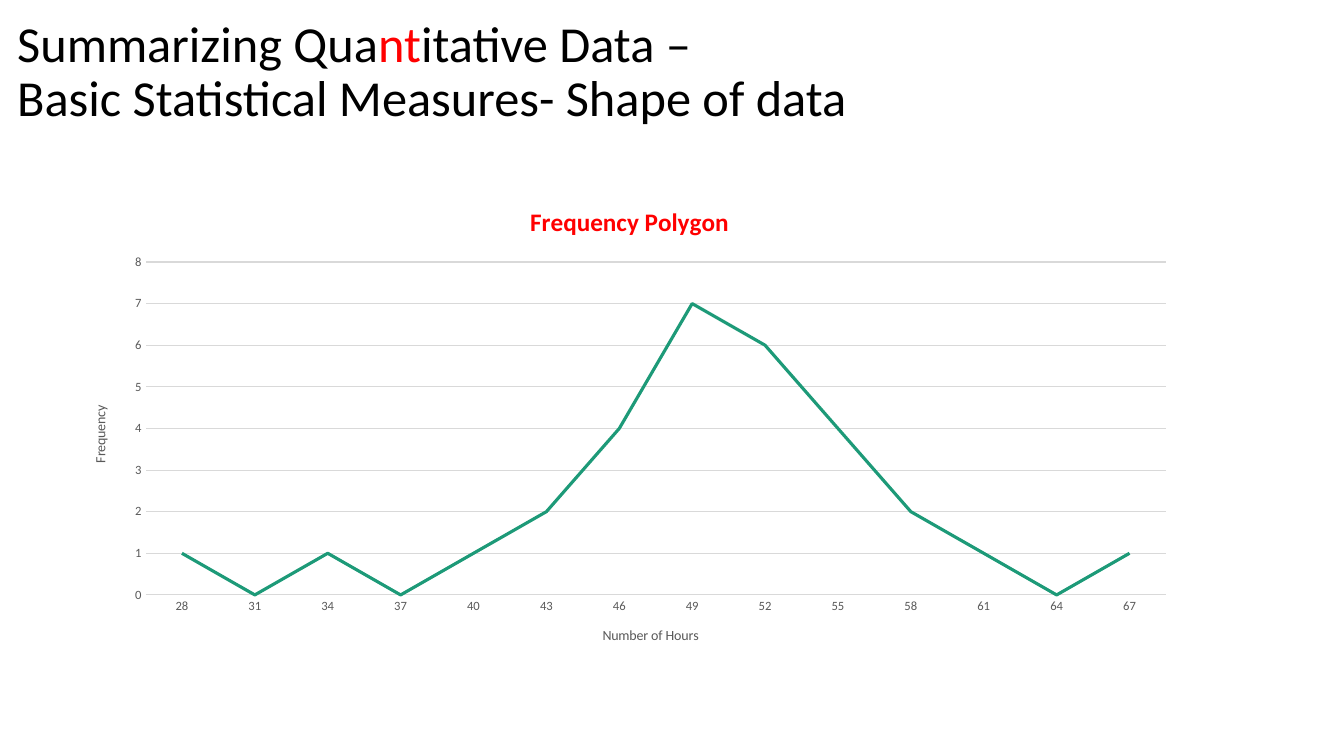
from pptx import Presentation
from pptx.chart.data import CategoryChartData
from pptx.dml.color import RGBColor
from pptx.enum.chart import XL_CHART_TYPE as ChartType, XL_TICK_MARK as TickMark
from pptx.enum.chart import XL_MARKER_STYLE as MarkerStyle
from pptx.enum.text import MSO_ANCHOR as Anchor, MSO_AUTO_SIZE as AutoSize, PP_ALIGN as Align
from pptx.oxml import parse_xml
from pptx.oxml.ns import nsdecls
from pptx.util import Cm, Pt

COLORS = {"black": "000000", "red": "FF0000", "gray": "595959",
          "rule": "D9D9D9", "green": "1D9A78"}
HOURS = range(28, 68, 3)
FREQUENCIES = (1, 0, 1, 0, 1, 2, 4, 7, 6, 4, 2, 1, 0, 1)


class SlideBuilder:
    font_name = "Calibri"

    def __init__(self, presentation):
        self.slide = presentation.slides.add_slide(presentation.slide_layouts[5])

    def style_font(self, font, size, color, bold=False):
        font.name = self.font_name
        font.size = Pt(size)
        font.bold = bold
        font.color.rgb = RGBColor.from_string(COLORS[color])

    def style_line(self, line, color, width):
        line.color.rgb = RGBColor.from_string(COLORS[color])
        line.width = Pt(width)

    def add_title(self, lines, left, top, width, height):
        """Fill the title with lines, each a list of (text, color) runs."""
        title = self.slide.shapes.title
        title.left, title.top, title.width, title.height = left, top, width, height
        frame = title.text_frame
        frame.word_wrap = True
        frame.auto_size = AutoSize.NONE
        frame.vertical_anchor = Anchor.MIDDLE
        paragraph = frame.paragraphs[0]
        paragraph.alignment = Align.LEFT
        paragraph.line_spacing = 0.9
        for index, runs in enumerate(lines):
            if index:
                paragraph.add_line_break()
            for text, color in runs:
                run = paragraph.add_run()
                run.text = text
                self.style_font(run.font, 36, color)

    def set_heading(self, owner, text, size, color, bold=False):
        """Write the title of a chart or an axis."""
        paragraph = owner.text_frame.paragraphs[0]
        paragraph.text = text
        self.style_font(paragraph.font, size, color, bold)

    def style_axis(self, axis, heading):
        axis.major_tick_mark = axis.minor_tick_mark = TickMark.NONE
        self.style_font(axis.tick_labels.font, 9, "gray")
        self.set_heading(axis.axis_title, heading, 10, "gray")

    def place_plot(self, chart, **fractions):
        """Fix the inner plot area as fractions of the chart."""
        plot_area = chart.element.xpath("//c:plotArea")[0]
        for layout in plot_area.xpath("c:layout"):
            plot_area.remove(layout)
        sizes = "".join(f'<c:{key} val="{value}"/>' for key, value in fractions.items())
        plot_area.insert(0, parse_xml(
            f'<c:layout {nsdecls("c")}><c:manualLayout><c:layoutTarget val="inner"/>'
            f'<c:xMode val="edge"/><c:yMode val="edge"/>{sizes}</c:manualLayout></c:layout>'))

    def add_line_chart(self, heading, categories, values, left, top, width, height):
        data = CategoryChartData()
        data.categories = [str(category) for category in categories]
        data.add_series("Series 1", values)
        chart = self.slide.shapes.add_chart(
            ChartType.LINE, left, top, width, height, data).chart
        self.style_font(chart.font, 10, "black")
        chart.has_legend = False
        chart.has_title = True
        self.set_heading(chart.chart_title, heading, 18, "red", bold=True)
        chart.plots[0].vary_by_categories = False
        self.place_plot(chart, x=0.067, y=0.16, w=0.913, h=0.694)

        series = chart.plots[0].series[0]
        series.smooth = False
        series.marker.style = MarkerStyle.NONE
        self.style_line(series.format.line, "green", 2.25)

        self.style_axis(chart.category_axis, "Number of Hours")
        self.style_line(chart.category_axis.format.line, "rule", 0.75)

        value_axis = chart.value_axis
        self.style_axis(value_axis, "Frequency")
        value_axis.axis_title.text_frame._txBody.bodyPr.set("rot", "-5400000")
        value_axis.minimum_scale, value_axis.maximum_scale = 0, 8
        value_axis.major_unit = 1
        value_axis.format.line.fill.background()
        self.style_line(value_axis.major_gridlines.format.line, "rule", 0.75)


def main():
    presentation = Presentation()
    presentation.slide_width, presentation.slide_height = Cm(33.87), Cm(19.05)
    builder = SlideBuilder(presentation)
    builder.add_title(
        [[("Summarizing Qua", "black"), ("nt", "red"), ("itative Data –", "black")],
         [("Basic Statistical Measures- Shape of data", "black")]],
        Cm(0.18), Cm(0), Cm(29.21), Cm(3.68))
    builder.add_line_chart("Frequency Polygon", HOURS, FREQUENCIES,
                           Cm(1.78), Cm(4.67), Cm(28.17), Cm(12.09))
    presentation.save("out.pptx")


if __name__ == "__main__":
    main()
